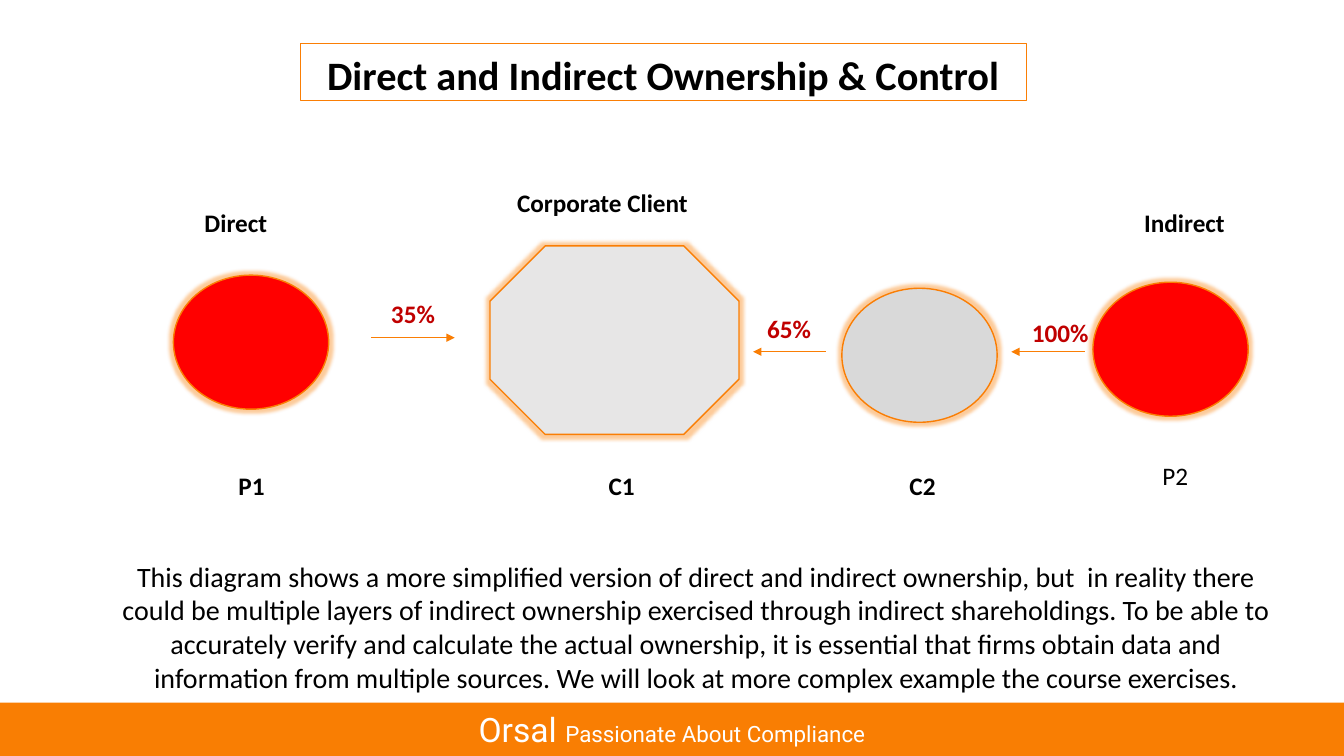
from dataclasses import dataclass

from lxml import etree
from pptx import Presentation
from pptx.dml.color import RGBColor
from pptx.enum.shapes import MSO_CONNECTOR, MSO_SHAPE
from pptx.enum.text import MSO_ANCHOR, MSO_AUTO_SIZE, PP_ALIGN
from pptx.oxml.ns import qn
from pptx.util import Inches, Pt

RECTANGLE, OCTAGON, OVAL = MSO_SHAPE.RECTANGLE, MSO_SHAPE.OCTAGON, MSO_SHAPE.OVAL
STRAIGHT = MSO_CONNECTOR.STRAIGHT
MIDDLE = MSO_ANCHOR.MIDDLE
NO_FIT, GROW = MSO_AUTO_SIZE.NONE, MSO_AUTO_SIZE.SHAPE_TO_FIT_TEXT
LEFT, CENTER = PP_ALIGN.LEFT, PP_ALIGN.CENTER


@dataclass(frozen=True)
class Theme:
    ink: str = "000000"
    white: str = "FFFFFF"
    accent: str = "FA7E04"
    footer: str = "F97E03"
    person: str = "FF0000"
    client: str = "E7E6E6"
    company: str = "D9D9D9"
    share: str = "C00000"
    text_font: str = "Calibri"
    footer_font: str = "Roboto"
    title_size: float = 28.8
    body_size: int = 20
    label_size: int = 18
    brand_size: int = 24
    slogan_size: int = 16


def apply(target, formats):
    for attribute, value in formats.items():
        setattr(target, attribute, value)


class OwnershipSlide:
    def __init__(self, deck, theme):
        self.theme = theme
        self.slide = deck.slides.add_slide(deck.slide_layouts[5])
        self.shapes = self.slide.shapes

    def add_words(self, paragraph, text, size, color, bold=False, font=None):
        run = paragraph.add_run()
        run.text = text
        apply(run.font, {"name": font or self.theme.text_font,
                         "size": Pt(size), "bold": bold})
        run.font.color.rgb = RGBColor.from_string(color)

    def outline(self, shape, width):
        shape.line.color.rgb = RGBColor.from_string(self.theme.accent)
        shape.line.width = Pt(width)

    def title(self, text, left, top, width, height):
        heading = self.shapes.title
        apply(heading, {"left": Inches(left), "top": Inches(top),
                        "width": Inches(width), "height": Inches(height)})
        self.outline(heading, 0.75)
        apply(heading.text_frame, {
            "auto_size": NO_FIT, "word_wrap": True, "vertical_anchor": MIDDLE,
            "margin_top": Inches(0.1), "margin_bottom": 0})
        paragraph = heading.text_frame.paragraphs[0]
        apply(paragraph, {"alignment": CENTER, "line_spacing": 0.9})
        self.add_words(paragraph, text, self.theme.title_size, self.theme.ink, True)

    def block(self, kind, fill, left, top, width, height):
        shape = self.shapes.add_shape(
            kind, Inches(left), Inches(top), Inches(width), Inches(height))
        shape.shadow.inherit = False
        shape.fill.solid()
        shape.fill.fore_color.rgb = RGBColor.from_string(fill)
        shape.line.fill.background()
        return shape

    def party(self, kind, fill, left, top, width=1.54, height=1.33):
        shape = self.block(kind, fill, left, top, width, height)
        self.outline(shape, 1)
        effects = shape.element.spPr.find(qn("a:effectLst"))
        glow = etree.SubElement(effects, qn("a:glow"), rad=str(Pt(5)))
        color = etree.SubElement(glow, qn("a:srgbClr"), val=self.theme.accent)
        etree.SubElement(color, qn("a:alpha"), val="40000")

    def arrow(self, start, end, y):
        link = self.shapes.add_connector(
            STRAIGHT, Inches(start), Inches(y), Inches(end), Inches(y))
        self.outline(link, 0.5)
        properties = link.element.spPr
        etree.SubElement(properties.find(qn("a:ln")), qn("a:tailEnd"), type="triangle")
        etree.SubElement(properties, qn("a:effectLst"))

    def text(self, text, left, top, width, height=0.4, align=CENTER,
             size=None, color=None, bold=True, wrap=True):
        box = self.shapes.add_textbox(
            Inches(left), Inches(top), Inches(width), Inches(height))
        apply(box.text_frame, {"word_wrap": wrap, "auto_size": GROW})
        paragraph = box.text_frame.paragraphs[0]
        paragraph.alignment = align
        self.add_words(paragraph, text, size or self.theme.label_size,
                       color or self.theme.ink, bold)

    def footer(self, brand, slogan):
        theme = self.theme
        band = self.block(RECTANGLE, theme.footer, 0, 6.97, 13.33, 0.53)
        band.text_frame.vertical_anchor = MIDDLE
        paragraph = band.text_frame.paragraphs[0]
        paragraph.alignment = CENTER
        for words, size in ((brand + " ", theme.brand_size), (slogan, theme.slogan_size)):
            self.add_words(paragraph, words, size, theme.white, font=theme.footer_font)


def main():
    deck = Presentation()
    apply(deck, {"slide_width": Inches(13.33), "slide_height": Inches(7.5)})
    theme = Theme()
    page = OwnershipSlide(deck, theme)

    page.title("Direct and Indirect Ownership & Control", 2.98, 0.43, 7.2, 0.57)
    page.footer("Orsal", "Passionate About Compliance")

    page.party(OCTAGON, theme.client, 4.86, 2.44, 2.47, 1.87)
    for fill, left, top in ((theme.person, 1.72, 2.73),
                            (theme.company, 8.35, 2.86),
                            (theme.person, 10.84, 2.8)):
        page.party(OVAL, fill, left, top)

    for start, end, y in ((3.68, 4.51, 3.35), (8.19, 7.47, 3.49), (10.76, 10.03, 3.49)):
        page.arrow(start, end, y)

    page.text("Corporate Client", 4.74, 1.81, 2.47)
    page.text("Direct", 1.93, 2.01, 1.14, align=LEFT)
    page.text("Indirect", 11.25, 2.01, 1.01, align=LEFT, wrap=False)

    for party, left, width in (("P1", 2.13, 0.73), ("C1", 5.66, 1.01), ("C2", 8.88, 0.54)):
        page.text(party, left, 4.62, width)
    page.text("P2", 11.43, 4.52, 0.54, align=LEFT, bold=False)

    for share, left, top, width, align in (("35%", 3.78, 2.91, 0.67, LEFT),
                                           ("65%", 7.51, 3.06, 0.83, LEFT),
                                           ("100%", 9.97, 3.1, 1.09, CENTER)):
        page.text(share, left, top, width, align=align, color=theme.share)

    page.text(
        "This diagram shows a more simplified version of direct and indirect ownership, "
        "but  in reality there could be multiple layers of indirect ownership exercised "
        "through indirect shareholdings. To be able to accurately verify and calculate "
        "the actual ownership, it is essential that firms obtain data and information "
        "from multiple sources. We will look at more complex example the course exercises.",
        1, 5.5, 11.81, 1.45, size=theme.body_size, bold=False)

    deck.save("out.pptx")


if __name__ == "__main__":
    main()
